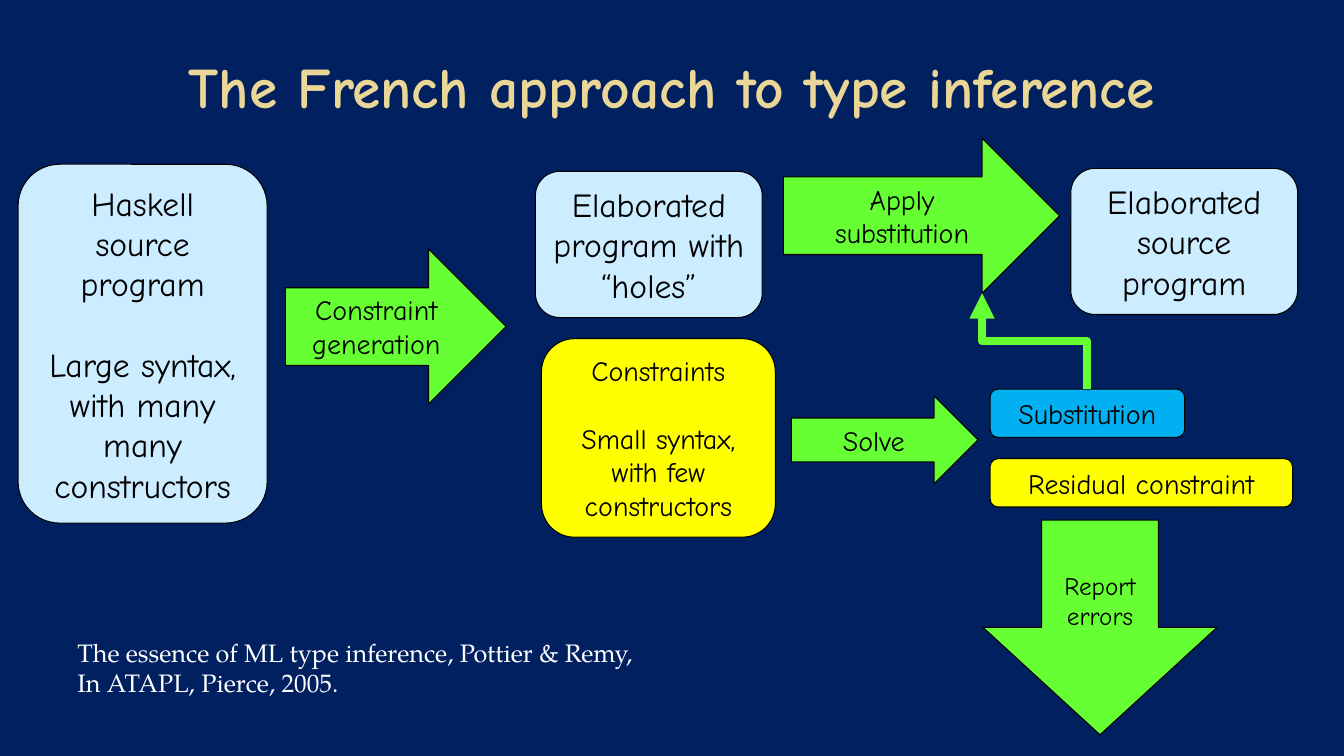
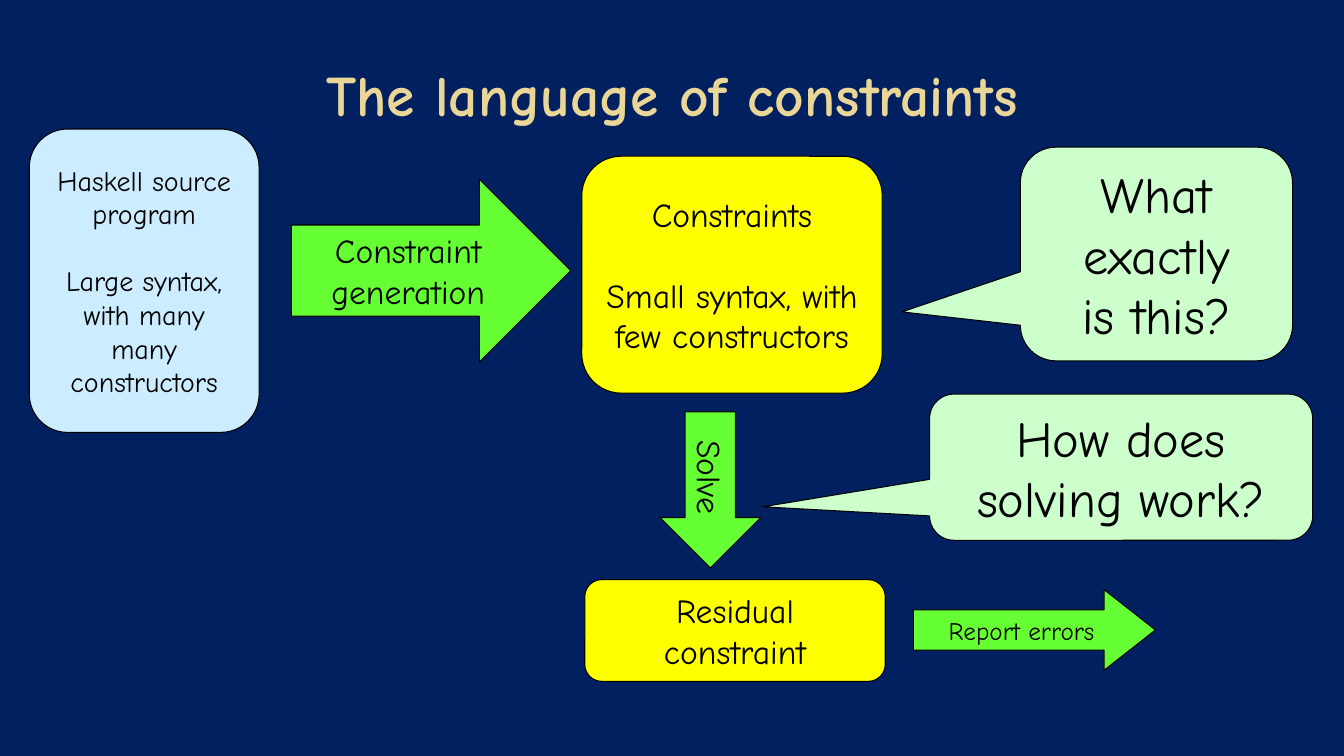
from lxml import etree
from pptx import Presentation
from pptx.dml.color import RGBColor
from pptx.enum.shapes import MSO_CONNECTOR, MSO_SHAPE
from pptx.enum.text import MSO_ANCHOR, PP_ALIGN
from pptx.oxml.ns import qn
from pptx.util import Pt

EMU_PER_PX = 9144  # 100 px to the inch
ELBOW = MSO_CONNECTOR.ELBOW
ROUNDED = MSO_SHAPE.ROUNDED_RECTANGLE
RIGHT_ARROW = MSO_SHAPE.RIGHT_ARROW
DOWN_ARROW = MSO_SHAPE.DOWN_ARROW
CALLOUT = MSO_SHAPE.ROUNDED_RECTANGULAR_CALLOUT
MIDDLE, TOP = MSO_ANCHOR.MIDDLE, MSO_ANCHOR.TOP
CENTER, LEFT = PP_ALIGN.CENTER, PP_ALIGN.LEFT

NAVY, GOLD, BLACK, WHITE = "002060", "EAD696", "000000", "FFFFFF"
PALE_BLUE, YELLOW, GREEN = "CCECFF", "FFFF00", "66FF33"
BLUE, PALE_GREEN = "00B0F0", "CCFFCC"
HAND_FONT, SERIF_FONT = "Comic Neue", "TeX Gyre Pagella"
LINE_HEIGHT = 1.2
POINTER = (-0.935, 0.271, 0.167)

LARGE_SYNTAX = "Large syntax, with many many constructors"
SMALL_SYNTAX = "Small syntax, with few constructors"


def px(length):
    return round(length * EMU_PER_PX)


def color(hex_string):
    return RGBColor.from_string(hex_string)


class Slides:
    """The shared style and the slide being drawn."""

    def __init__(self):
        self.deck = Presentation()
        self.deck.slide_width, self.deck.slide_height = px(1333), px(750)
        self.page = None

    def start(self, title, top):
        self.page = self.deck.slides.add_slide(self.deck.slide_layouts[6])
        background = self.page.background.fill
        background.solid()
        background.fore_color.rgb = color(NAVY)
        box = self.page.shapes.add_textbox(*map(px, (67, top, 1200, 125)))
        self.fill_text(box, [title], 41, GOLD, bold=True)

    def fill_text(self, box, texts, size, ink=BLACK, font=HAND_FONT,
                  bold=False, align=CENTER, anchor=MIDDLE, wrap=True):
        """One paragraph per text, set apart by the height of one line."""
        frame = box.text_frame
        frame.word_wrap = wrap
        frame.vertical_anchor = anchor
        for index, text in enumerate(texts):
            para = frame.add_paragraph() if index else frame.paragraphs[0]
            para.text = text
            para.alignment = align
            para.space_before = Pt(size * LINE_HEIGHT if index else 0)
            para.font.name, para.font.size = font, Pt(size)
            para.font.bold = bold
            para.font.color.rgb = color(ink)

    def shape(self, kind, place, fill, size, *texts, adjust=(), rotation=0):
        shape = self.page.shapes.add_shape(kind, *map(px, place))
        shape.shadow.inherit = False
        shape.fill.solid()
        shape.fill.fore_color.rgb = color(fill)
        shape.line.color.rgb = color(BLACK)
        shape.line.width = Pt(0.75)
        shape.rotation = rotation
        for index, value in enumerate(adjust):
            shape.adjustments[index] = value
        self.fill_text(shape, texts, size)

    def box(self, place, fill, size, *texts):
        self.shape(ROUNDED, place, fill, size, *texts)

    def arrow(self, place, size, text, kind=RIGHT_ARROW, **options):
        self.shape(kind, place, GREEN, size, text, **options)

    def callout(self, place, text):
        self.shape(CALLOUT, place, PALE_GREEN, 36, text, adjust=POINTER)

    def riser(self, start_x, start_y, end_x, end_y):
        """Elbow arrow that leaves and arrives vertically: a quarter turn."""
        middle_x, middle_y = (start_x + end_x) / 2, (start_y + end_y) / 2
        half_width, half_height = (start_y - end_y) / 2, (start_x - end_x) / 2
        line = self.page.shapes.add_connector(
            ELBOW, px(middle_x - half_width), px(middle_y + half_height),
            px(middle_x + half_width), px(middle_y - half_height))
        line.line.color.rgb = color(GREEN)
        line.line.width = Pt(6)
        properties = line._element.spPr
        properties.find(qn("a:xfrm")).set("rot", str(270 * 60000))
        etree.SubElement(properties.find(qn("a:ln")), qn("a:tailEnd"),
                         type="triangle")
        etree.SubElement(properties, qn("a:effectLst"))

    def citation(self, place, text):
        box = self.page.shapes.add_textbox(*map(px, place))
        self.fill_text(box, [text], 18, WHITE, SERIF_FONT, align=LEFT,
                       anchor=TOP, wrap=False)


def draw_approach(slides):
    slides.start("The French approach to type inference", 22)

    # From source to constraints
    slides.box((18, 163, 247, 356), PALE_BLUE, 24,
               "Haskell source program", LARGE_SYNTAX)
    slides.arrow((283, 247, 219, 154), 20, "Constraint generation")
    slides.box((531, 170, 225, 145), PALE_BLUE, 24,
               "Elaborated program with “holes”")
    slides.box((537, 336, 232, 197), YELLOW, 20, "Constraints", SMALL_SYNTAX)

    # Solving and its results
    slides.arrow((785, 393, 185, 87), 20, "Solve")
    slides.box((982, 386, 193, 48), BLUE, 20, "Substitution")
    slides.box((982, 455, 300, 48), YELLOW, 20, "Residual constraint")
    slides.arrow((975, 516, 232, 213), 18, "Report\nerrors", kind=DOWN_ARROW)

    # Substitution back into the program
    slides.arrow((777, 137, 274, 154), 20, "Apply\nsubstitution")
    slides.box((1062, 167, 225, 145), PALE_BLUE, 24,
               "Elaborated source program")
    slides.riser(1078, 386, 974, 291)

    slides.citation((67, 627, 583, 71),
                    "The essence of ML type inference, Pottier & Remy,\n"
                    "In ATAPL, Pierce, 2005.")


def draw_language(slides):
    slides.start("The language of constraints", 30)

    # From source to constraints
    slides.box((29, 128, 228, 301), PALE_BLUE, 20,
               "Haskell source program", LARGE_SYNTAX)
    slides.arrow((289, 178, 277, 181), 24, "Constraint generation")
    slides.box((577, 155, 298, 235), YELLOW, 24, "Constraints", SMALL_SYNTAX)

    # Solving and its results
    slides.arrow((627, 436, 155, 100), 24, "Solve", rotation=90)
    slides.box((580, 575, 298, 101), YELLOW, 24, "Residual constraint")
    slides.arrow((906, 585, 240, 80), 18, "Report errors",
                 adjust=(0.5, 0.636))

    # Questions
    slides.callout((1012, 146, 270, 212), "What exactly\nis this?")
    slides.callout((922, 391, 380, 145), "How does solving work?")


def main():
    slides = Slides()
    draw_approach(slides)
    draw_language(slides)
    slides.deck.save("out.pptx")


if __name__ == "__main__":
    main()
